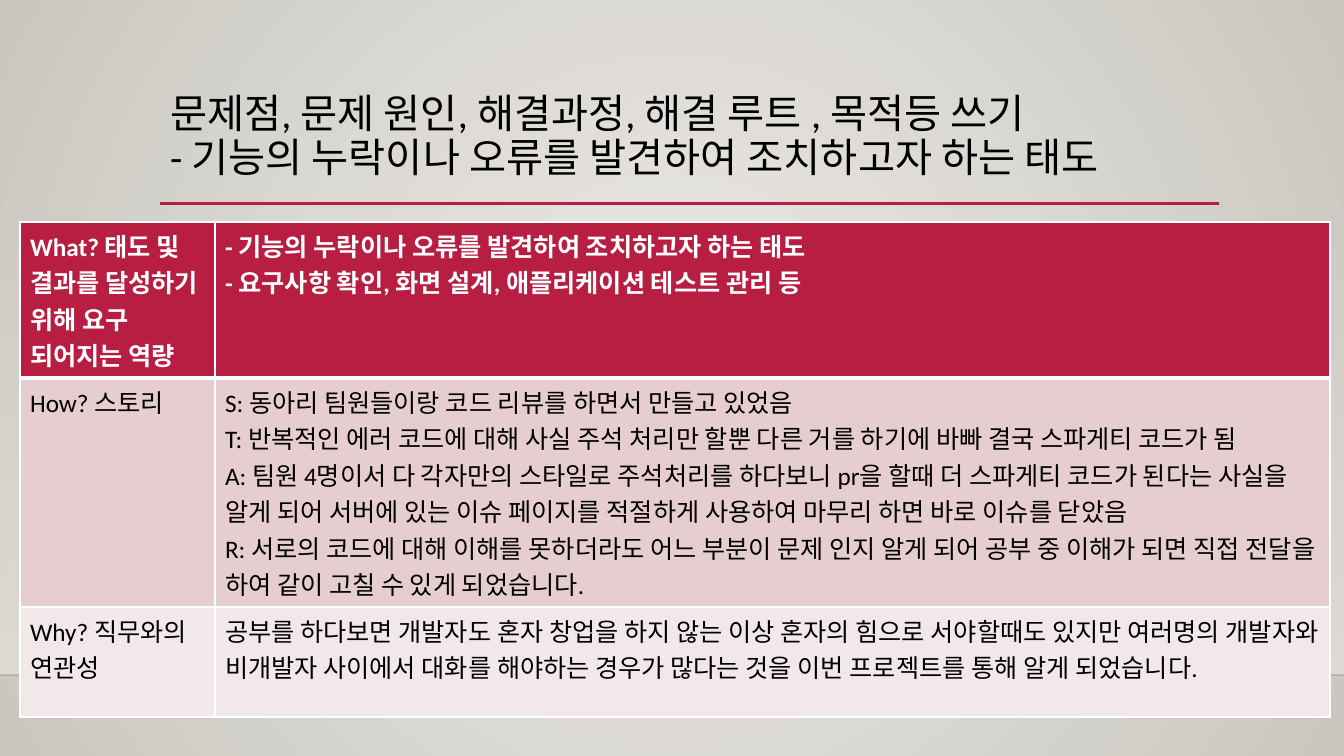
from lxml.etree import SubElement
from pptx import Presentation
from pptx.dml.color import RGBColor
from pptx.enum.shapes import MSO_CONNECTOR, MSO_SHAPE
from pptx.enum.text import MSO_ANCHOR, MSO_AUTO_SIZE, PP_ALIGN
from pptx.oxml.ns import qn
from pptx.util import Pt

TITLE = ("문제점, 문제 원인, 해결과정, 해결 루트 , 목적등 쓰기\v"
         "- 기능의 누락이나 오류를 발견하여 조치하고자 하는 태도")
ROWS = [
    ("What? 태도 및 결과를 달성하기 위해 요구 되어지는 역량",
     ["- 기능의 누락이나 오류를 발견하여 조치하고자 하는 태도",
      "- 요구사항 확인, 화면 설계, 애플리케이션 테스트 관리 등"]),
    ("How? 스토리",
     ["S: 동아리 팀원들이랑 코드 리뷰를 하면서 만들고 있었음",
      "T: 반복적인 에러 코드에 대해 사실 주석 처리만 할뿐 다른 거를 하기에 바빠 "
      "결국 스파게티 코드가 됨",
      "A: 팀원 4명이서 다 각자만의 스타일로 주석처리를 하다보니 pr을 할때 더 "
      "스파게티 코드가 된다는 사실을 알게 되어 서버에 있는 이슈 페이지를 적절하게 "
      "사용하여 마무리 하면 바로 이슈를 닫았음",
      "R: 서로의 코드에 대해 이해를 못하더라도 어느 부분이 문제 인지 알게 되어 "
      "공부 중 이해가 되면 직접 전달을 하여 같이 고칠 수 있게 되었습니다."]),
    ("Why? 직무와의 연관성",
     ["공부를 하다보면 개발자도 혼자 창업을 하지 않는 이상 혼자의 힘으로 "
      "서야할때도 있지만 여러명의 개발자와 비개발자 사이에서 대화를 해야하는 "
      "경우가 많다는 것을 이번 프로젝트를 통해 알게 되었습니다."]),
]
FILLS = ["B71E42", "E6CDCF", "F3E8E9"]
INKS = ["FFFFFF", "000000", "000000"]
COLS = [195, 1115]
ROW = 110
WIDE, HIGH = 1344, 756
FLOOR = 675
RED, SAND = "B71E42", "DFDBD5"


def px(n):
    """Turn pixels into EMU."""
    return round(n * 914400 / 100.8)


def rgb(code):
    """Make a colour from a hex string."""
    return RGBColor.from_string(code)


def put(item, values):
    """Set attributes from a dict."""
    for name, value in values.items():
        setattr(item, name, value)


def ink(para, size, color, bold=False):
    """Format the font of a paragraph."""
    put(para.font, {"name": "Calibri", "size": Pt(size), "bold": bold})
    para.font.color.rgb = rgb(color)


def fade(fill, colors):
    """Give a fill a gradient of two colours."""
    fill.gradient()
    for stop, color, spot in zip(fill.gradient_stops, colors, (0, 1)):
        stop.color.rgb = rgb(color)
        stop.position = spot


def clear(root, share):
    """Set the opacity of the first colour under an element, in percent."""
    tone = next(root.iter(qn("a:srgbClr")))
    SubElement(tone, qn("a:alpha"), val=str(share * 1000))


def rule(slide, left, right, y, color, width):
    """Draw a level line without shadow."""
    line = slide.shapes.add_connector(
        MSO_CONNECTOR.STRAIGHT, px(left), px(y), px(right), px(y))
    line.line.color.rgb = rgb(color)
    line.line.width = Pt(width)
    SubElement(line._element.spPr, qn("a:effectLst"))
    return line


def edge(cell, widths):
    """Draw white cell borders of the given widths."""
    props = cell._tc.get_or_add_tcPr()
    for side, width in widths.items():
        line = SubElement(props, qn("a:ln" + side), w=str(Pt(width)))
        paint = SubElement(line, qn("a:solidFill"))
        SubElement(paint, qn("a:srgbClr"), val="FFFFFF")


def stage(slide):
    """Paint the round backdrop, the floor and the lines."""
    fade(slide.background.fill, ("ECEAE7", "CAC7C1"))
    grad = next(slide._element.iter(qn("a:gradFill")))
    grad.remove(grad.find(qn("a:lin")))
    ring = SubElement(grad, qn("a:path"), path="circle")
    SubElement(ring, qn("a:fillToRect"), {side: "50000" for side in "ltrb"})

    top = 223
    wall = slide.shapes.add_shape(
        MSO_SHAPE.RECTANGLE, 0, px(top), px(WIDE), px(FLOOR - top))
    wall.shadow.inherit = False
    wall.line.fill.background()
    fade(wall.fill, (SAND, SAND))
    wall.fill.gradient_angle = 270
    clear(wall._element.spPr, 0)

    floor = rule(slide, 0, WIDE, FLOOR, "000001", 1)
    clear(floor._element.spPr, 20)
    rule(slide, 160, 1219, 203.5, RED, 2.5)


def head(slide):
    """Place and format the title."""
    title = slide.shapes.title
    put(title, {"left": px(160), "top": px(89),
                "width": px(1059), "height": px(116)})
    frame = title.text_frame
    frame.text = TITLE
    put(frame, {"word_wrap": True, "auto_size": MSO_AUTO_SIZE.NONE,
                "vertical_anchor": MSO_ANCHOR.TOP})
    para = frame.paragraphs[0]
    put(para, {"alignment": PP_ALIGN.LEFT, "line_spacing": 0.9})
    ink(para, 28.8, "000000")


def grid(slide):
    """Build the table of questions and answers."""
    table = slide.shapes.add_table(
        len(ROWS), len(COLS), px(20), px(222),
        px(sum(COLS)), px(ROW * len(ROWS))).table
    table.horz_banding = False
    for col, width in zip(table.columns, COLS):
        col.width = px(width)
    for r, (ask, reply) in enumerate(ROWS):
        table.rows[r].height = px(ROW)
        for c, lines in enumerate(([ask], reply)):
            cell = table.cell(r, c)
            edge(cell, {"L": 1, "R": 1, "T": 3 if r == 1 else 1,
                        "B": 3 if r == 0 else 1})
            cell.fill.solid()
            cell.fill.fore_color.rgb = rgb(FILLS[r])
            cell.text = "\n".join(lines)
            for para in cell.text_frame.paragraphs:
                ink(para, 18, INKS[r], r == 0)


deck = Presentation()
put(deck, {"slide_width": px(WIDE), "slide_height": px(HIGH)})
page = deck.slides.add_slide(deck.slide_layouts[5])
stage(page)
head(page)
grid(page)
deck.save("out.pptx")
